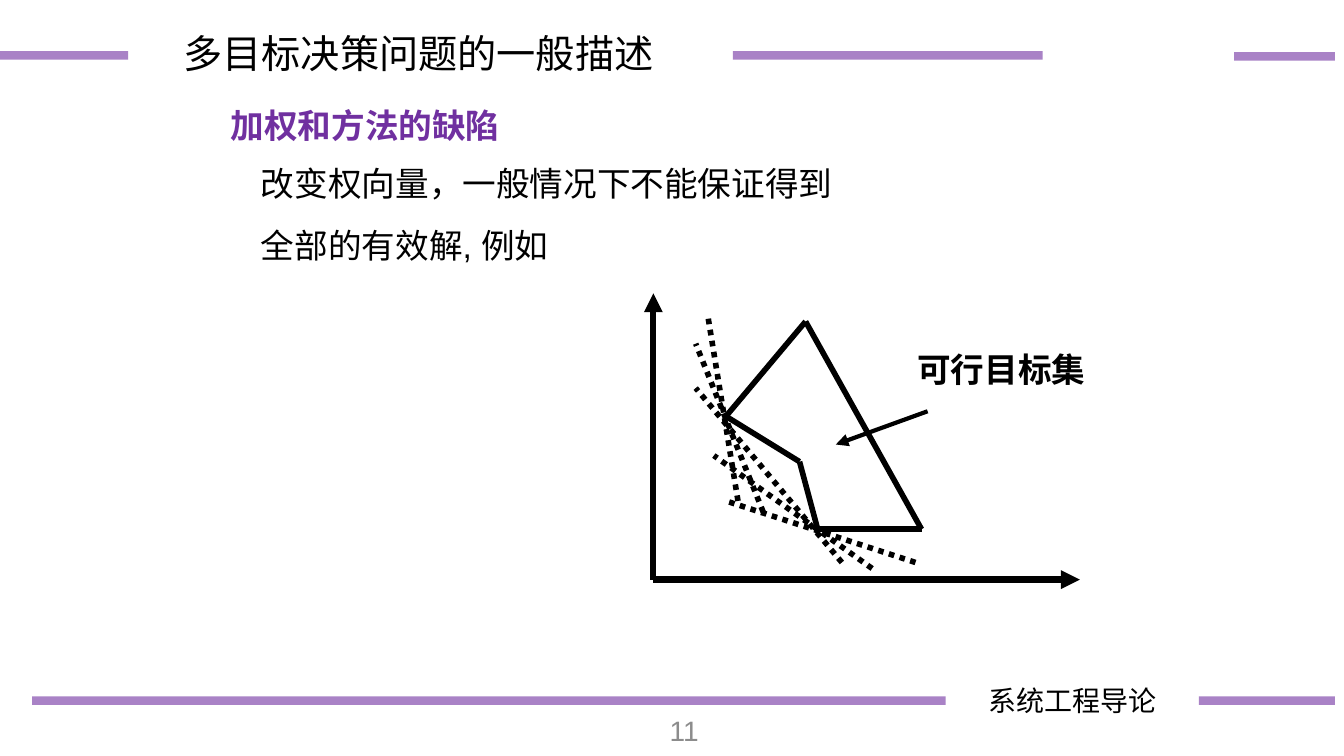
from itertools import pairwise

from lxml.etree import SubElement
from pptx import Presentation
from pptx.dml.color import RGBColor
from pptx.enum.dml import MSO_LINE
from pptx.enum.shapes import MSO_CONNECTOR
from pptx.enum.text import MSO_ANCHOR, MSO_AUTO_SIZE, PP_ALIGN
from pptx.oxml.ns import qn
from pptx.util import Inches, Pt

CELL = 0.1  # inches per grid column and row
CHINESE = "Noto Sans CJK SC"
BLACK, PURPLE, GREY = "000000", "7030A0", "8C8C8C"


def colour(value):
    return RGBColor.from_string(value)


def grid(*cells):
    return [Inches(cell * CELL) for cell in cells]


class SlideBuilder:
    """Holds the current slide and draws styled elements on it."""

    def __init__(self, deck):
        self.page = deck.slides.add_slide(deck.slide_layouts[5])

    def fill_text(self, box, text, size, font, ink, bold=False,
                  align=PP_ALIGN.LEFT, anchor=MSO_ANCHOR.TOP, wrap=True):
        frame = box.text_frame
        frame.word_wrap = wrap
        frame.auto_size = MSO_AUTO_SIZE.NONE
        frame.vertical_anchor = anchor
        para = frame.paragraphs[0]
        para.alignment = align
        span = para.add_run()
        span.text = text
        span.font.size = Pt(size)
        span.font.name = font
        span.font.bold = bold
        span.font.color.rgb = colour(ink)
        east_asian = SubElement(span.font._element, qn("a:ea"))
        east_asian.set("typeface", CHINESE)
        return para

    def title(self, place, text):
        box = self.page.shapes.title
        box.left, box.top, box.width, box.height = grid(*place)
        para = self.fill_text(box, text, 28, CHINESE, BLACK)
        para.line_spacing = 0.9

    def text(self, place, text, size, font, ink=BLACK, **style):
        box = self.page.shapes.add_textbox(*grid(*place))
        self.fill_text(box, text, size, font, ink, **style)

    def line(self, start, end, width=4, ink=BLACK, opacity=None,
             dotted=False, arrow=False):
        line = self.page.shapes.add_connector(
            MSO_CONNECTOR.STRAIGHT, *grid(*start, *end))
        line.line.width = Pt(width)
        line.line.color.rgb = colour(ink)
        if dotted:
            line.line.dash_style = MSO_LINE.ROUND_DOT
        properties = line._element.spPr
        if opacity:
            fill = properties.find(".//" + qn("a:srgbClr"))
            SubElement(fill, qn("a:alpha")).set("val", str(opacity * 1000))
        if arrow:
            outline = properties.find(qn("a:ln"))
            SubElement(outline, qn("a:tailEnd")).set("type", "triangle")
        SubElement(properties, qn("a:effectLst"))

    def bar(self, left, right, row):
        self.line((left, row), (right, row), 6, PURPLE, opacity=60)


def main():
    deck = Presentation()
    deck.slide_width, deck.slide_height = Inches(13.33), Inches(7.5)
    slide = SlideBuilder(deck)

    # Header and footer bars
    for left, right, row in [(0, 12.7, 5.5), (72.7, 103.4, 5.5),
                             (122.4, 132.4, 5.6),
                             (3.2, 93.8, 69.5), (118.9, 132.4, 69.5)]:
        slide.bar(left, right, row)

    # Footer wording
    slide.text((93.8, 67.3, 25.1, 4.4), "系统工程导论", 20, CHINESE,
               align=PP_ALIGN.CENTER)
    slide.text((63, 70.5, 7.3, 4), "11", 20, "Arial", GREY,
               align=PP_ALIGN.RIGHT, anchor=MSO_ANCHOR.MIDDLE)

    # Title and body
    slide.title((17.2, 2.9, 49.5, 5.9), "多目标决策问题的一般描述")
    slide.text((21.9, 9.9, 28.9, 5), "加权和方法的缺陷", 24, CHINESE, PURPLE,
               bold=True, wrap=False)
    slide.text((24.9, 15.7, 59.2, 5), "改变权向量，一般情况下不能保证得到",
               24, "Arial", wrap=False)
    slide.text((24.9, 21.8, 30.8, 5), "全部的有效解, 例如", 24, "Arial")

    # Axes
    origin = (64.8, 57.5)
    for tip in [(107.1, 57.5), (64.8, 29.1)]:
        slide.line(origin, tip, 4.5, arrow=True)

    # Feasible objective set
    top, left, notch = (79.9, 31.9), (72, 41.3), (79.3, 45.8)
    bottom, right = (81.1, 52.5), (91.4, 52.5)
    for start, end in pairwise([top, left, notch, bottom, right, top]):
        slide.line(start, end)

    # Weighted-sum level lines
    for start, end in [((73.2, 49.7), (70.2, 31.3)),
                       ((75.7, 50.8), (69, 34.1)),
                       ((86.5, 56.4), (70.8, 45.2)),
                       ((90.8, 55.8), (72, 49.7)),
                       ((83.5, 55.8), (69, 38.5))]:
        slide.line(start, end, dotted=True)

    # Label and its pointer
    slide.text((90, 34.1, 18.9, 5.1), "可行目标集", 24, "Times New Roman",
               bold=True, wrap=False)
    slide.line((92, 40.8), (82.9, 44.1), 3, arrow=True)

    deck.save("out.pptx")


if __name__ == "__main__":
    main()
